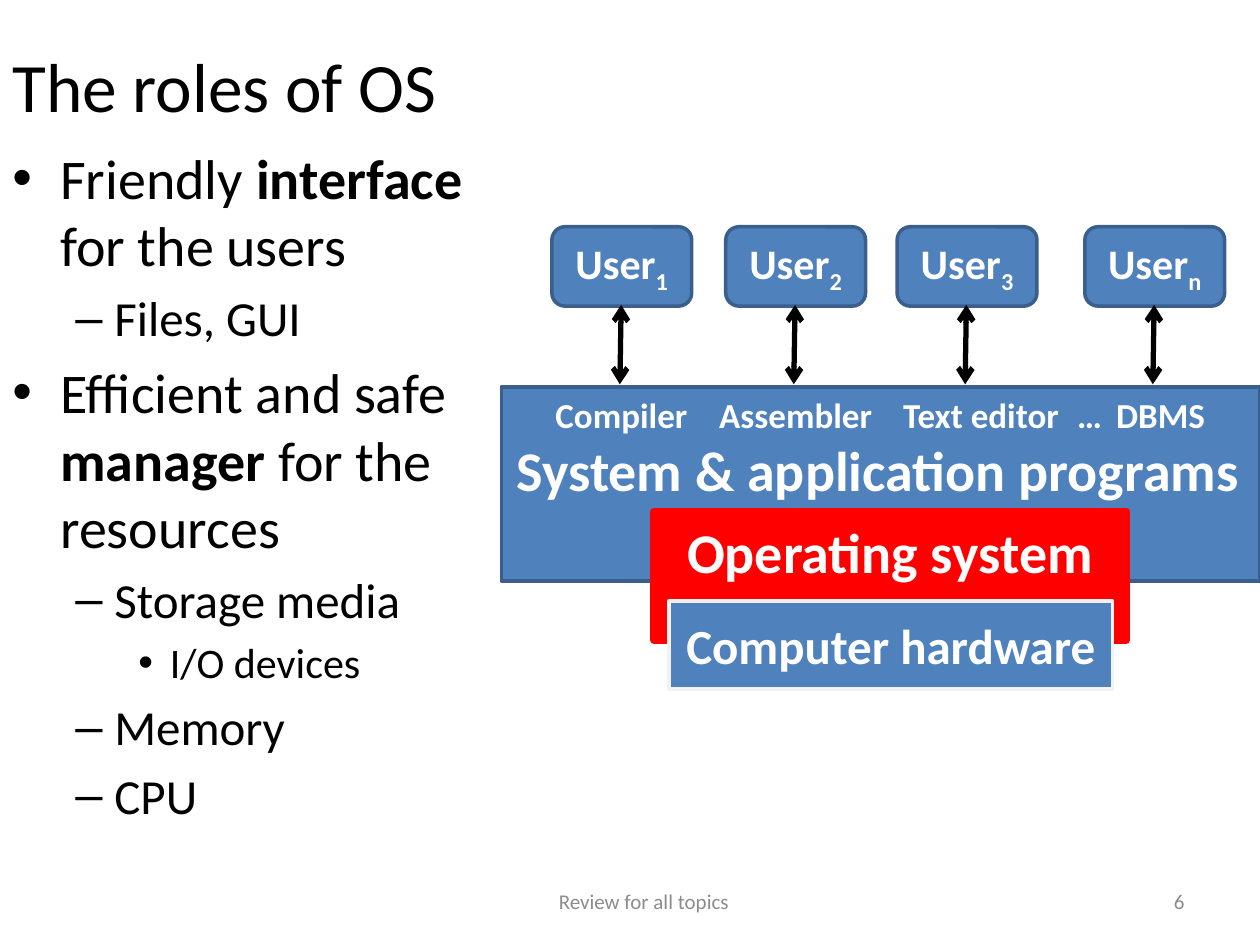
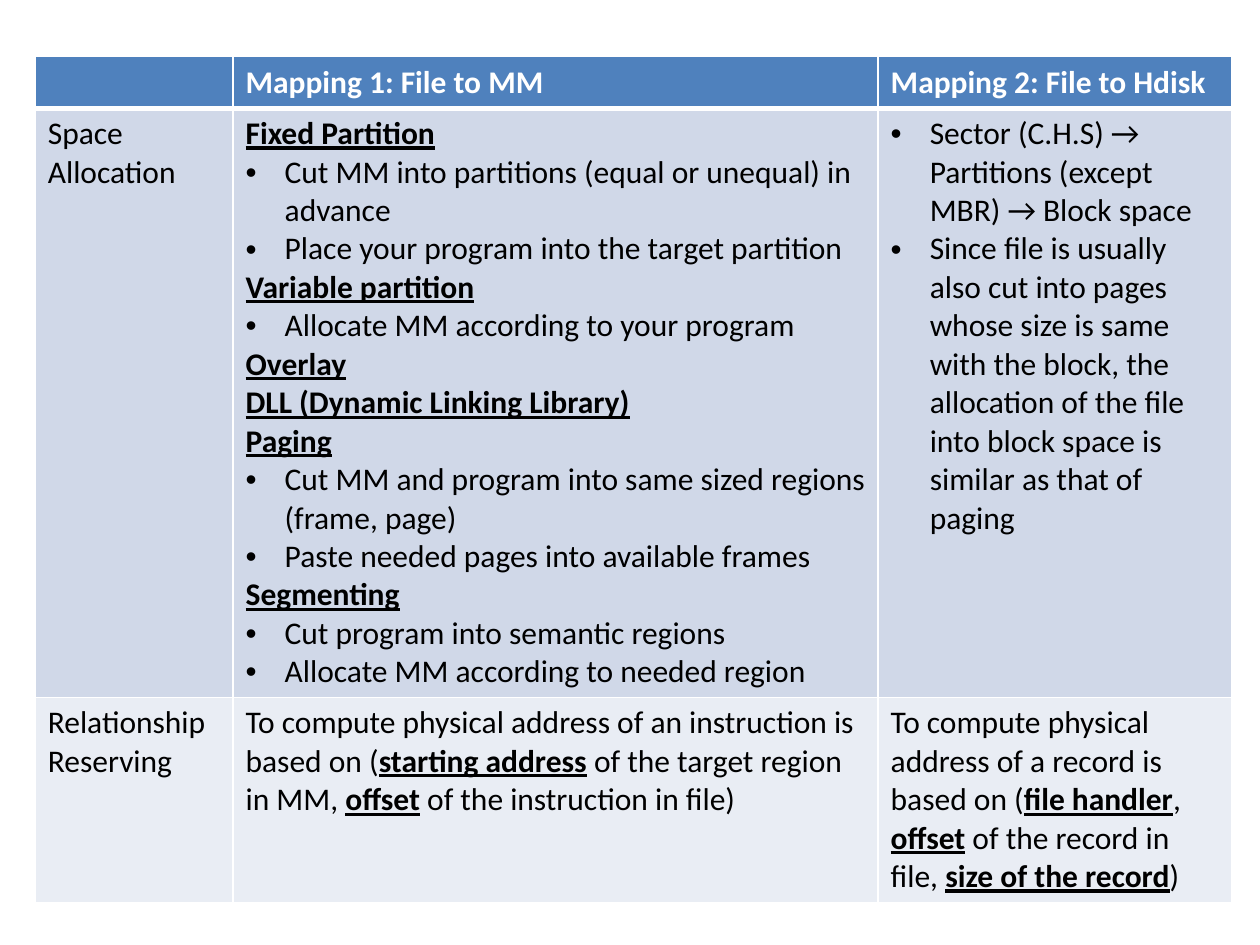
"""Build two review slides: the roles of an OS and a table of file mappings."""
from typing import NamedTuple

from lxml.etree import SubElement
from pptx import Presentation
from pptx.dml.color import RGBColor
from pptx.enum.shapes import MSO_CONNECTOR, MSO_SHAPE
from pptx.enum.text import MSO_ANCHOR, PP_ALIGN
from pptx.oxml.ns import qn
from pptx.slide import Slide
from pptx.table import _Cell
from pptx.text.text import TextFrame
from pptx.util import Inches, Pt

FONT = "Calibri"
COLORS = {
    "black": "000000", "white": "FFFFFF", "gray": "8C8C8C", "blue": "4F81BD",
    "edge": "3A5F8C", "red": "FF0000", "pale": "F2F2F2",
    "band": "D0D8E8", "light": "E9EDF4",
}
LEFT, MID, RIGHT = PP_ALIGN.LEFT, PP_ALIGN.CENTER, PP_ALIGN.RIGHT
TOP, CENTER = MSO_ANCHOR.TOP, MSO_ANCHOR.MIDDLE


class Level(NamedTuple):
    mark: str
    left: float
    hang: float
    size: float
    above: float = 0.2


class Para(NamedTuple):
    text: str
    level: Level | None = None


class Box(NamedTuple):
    text: str
    left: float
    top: float
    width: float
    height: float
    size: float
    fill: str = "blue"
    edge: str = "edge"
    weight: float = 2
    kind: MSO_SHAPE = MSO_SHAPE.RECTANGLE
    anchor: MSO_ANCHOR = CENTER


MAIN = Level("•", 0.38, 0.38, 32)
SUB = Level("–", 0.81, 0.31, 28)
DEEP = Level("•", 1.25, 0.25, 24)
ITEM = Level("•", 0.31, 0.31, 18, 0)

ROLES = [
    Para("Friendly *interface* for the users", MAIN),
    Para("Files, GUI", SUB),
    Para("Efficient and safe *manager* for the resources", MAIN),
    Para("Storage media", SUB),
    Para("I/O devices", DEEP),
    Para("Memory", SUB),
    Para("CPU", SUB),
]
TOOLS = ["Compiler", "Assembler", "Text editor", "…", "DBMS"]
STOPS = [0.33, 1.63, 3.09, 4.47, 4.78]
LAYERS = [
    Box("", 3.98, 3.07, 6.02, 1.54, 20, anchor=TOP),
    Box("Operating system", 5.19, 4.06, 3.75, 1.02, 32, "red", "red", 4.5, anchor=TOP),
    Box("Computer hardware", 5.31, 4.77, 3.52, 0.7, 28, edge="pale"),
]
USERS = {"1": 4.38, "2": 5.76, "3": 7.12, "n": 8.61}

COLS = [1.57, 5.12, 2.81]
ROWS = [0.41, 4.66, 1.62]
FILLS = ["blue", "band", "light"]
CELLS = [
    [[], [Para("Mapping 1: File to MM")], [Para("Mapping 2: File to Hdisk")]],
    [
        [Para("Space Allocation")],
        [
            Para("*Fixed Partition*"),
            Para("Cut MM into partitions (equal or unequal) in advance", ITEM),
            Para("Place your program into the target partition", ITEM),
            Para("*Variable partition*"),
            Para("Allocate MM according to your program", ITEM),
            Para("*Overlay*"),
            Para("*DLL (Dynamic Linking Library)*"),
            Para("*Paging*"),
            Para("Cut MM and program into same sized regions (frame, page)", ITEM),
            Para("Paste needed pages into available frames", ITEM),
            Para("*Segmenting*"),
            Para("Cut program into semantic regions", ITEM),
            Para("Allocate MM according to needed region", ITEM),
        ],
        [
            Para("Sector (C.H.S) → Partitions (except MBR) → Block space", ITEM),
            Para("Since file is usually also cut into pages whose size is same with "
                 "the block, the allocation of the file into block space is similar "
                 "as that of paging", ITEM),
        ],
    ],
    [
        [Para("Relationship Reserving")],
        [Para("To compute physical address of an instruction is based on "
              "(*starting address* of the target region in MM, *offset* of the "
              "instruction in file)")],
        [Para("To compute physical address of a record is based on (*file handler*, "
              "*offset* of the record in file, *size of the record*)")],
    ],
]


def tint(name: str) -> RGBColor:
    """Return the named colour."""
    return RGBColor.from_string(COLORS[name])


def write(frame: TextFrame, paras: list[Para], *, size: float = 18, color: str = "black",
          bold: bool = False, align: PP_ALIGN = LEFT, mark: str = "bold",
          stops: list[float] | None = None) -> None:
    """Fill a frame; parts between asterisks get the marked format."""
    for i, item in enumerate(paras):
        para = frame.paragraphs[0] if i == 0 else frame.add_paragraph()
        para.alignment = align
        points = item.level.size if item.level else size
        props = para._p.get_or_add_pPr()
        if item.level:
            level = item.level
            para.space_before = Pt(round(level.above * points, 1))
            props.set("marL", str(Inches(level.left)))
            props.set("indent", str(Inches(-level.hang)))
            SubElement(props, qn("a:buFont"), typeface="Arial")
            SubElement(props, qn("a:buChar"), char=level.mark)
        if stops:
            tabs = SubElement(props, qn("a:tabLst"))
            for stop in stops:
                SubElement(tabs, qn("a:tab"), pos=str(Inches(stop)), algn="l")
        for j, part in enumerate(item.text.split("*")):
            if not part:
                continue
            run = para.add_run()
            run.text = part
            font = run.font
            font.name, font.size = FONT, Pt(points)
            font.color.rgb = tint(color)
            marked = j % 2 == 1
            font.bold = bold or (marked and mark != "sub")
            if marked and mark == "under":
                font.underline = True
            if marked and mark == "sub":
                run._r.get_or_add_rPr().set("baseline", "-25000")


def label(slide: Slide, paras: list[Para], left: float, top: float, width: float,
          height: float, *, anchor: MSO_ANCHOR = TOP, wrap: bool = True,
          **style) -> None:
    """Add a text box."""
    area = (Inches(n) for n in (left, top, width, height))
    frame = slide.shapes.add_textbox(*area).text_frame
    frame.word_wrap = wrap
    frame.vertical_anchor = anchor
    write(frame, paras, **style)


def block(slide: Slide, box: Box) -> TextFrame:
    """Draw a filled box and return its frame."""
    area = (Inches(n) for n in (box.left, box.top, box.width, box.height))
    shape = slide.shapes.add_shape(box.kind, *area)
    shape.shadow.inherit = False
    shape.fill.solid()
    shape.fill.fore_color.rgb = tint(box.fill)
    shape.line.color.rgb = tint(box.edge)
    shape.line.width = Pt(box.weight)
    frame = shape.text_frame
    frame.word_wrap = True
    frame.vertical_anchor = box.anchor
    write(frame, [Para(box.text)], size=box.size, color="white", bold=True,
          align=MID, mark="sub")
    return frame


def arrow(slide: Slide, left: float, top: float, right: float, base: float) -> None:
    """Draw a line with a head at each end."""
    ends = (Inches(n) for n in (left, top, right, base))
    link = slide.shapes.add_connector(MSO_CONNECTOR.STRAIGHT, *ends)
    link.line.color.rgb = tint("black")
    link.line.width = Pt(3)
    line = link.line._get_or_add_ln()
    for end in ("a:headEnd", "a:tailEnd"):
        SubElement(line, qn(end), type="arrow")
    SubElement(link._element.spPr, qn("a:effectLst"))


def border(cell: _Cell, row: int) -> None:
    """Give a cell white edges, thick below the head row."""
    props = cell._tc.get_or_add_tcPr()
    widths = {"L": 1, "R": 1, "T": 3 if row == 1 else 1, "B": 3 if row == 0 else 1}
    for side, width in widths.items():
        line = SubElement(props, qn(f"a:ln{side}"), w=str(Pt(width)))
        fill = SubElement(line, qn("a:solidFill"))
        SubElement(fill, qn("a:srgbClr"), val=COLORS["white"])


def draw_roles(slide: Slide) -> None:
    """Draw the roles slide."""
    label(slide, [Para("The roles of OS")], 0, 0.31, 9, 0.72, size=39.6, anchor=CENTER)
    label(slide, ROLES, 0, 1.09, 3.98, 5.61)
    frames = [block(slide, box) for box in LAYERS]
    tools = "".join("\t" + tool for tool in TOOLS)
    write(frames[0], [Para(tools)], size=20, color="white", bold=True, stops=STOPS)
    label(slide, [Para("System & application programs")], 4, 3.41, 5.99, 0.64,
          size=32, color="white", bold=True, wrap=False)
    for name, left in USERS.items():
        block(slide, Box(f"User*{name}*", left, 1.8, 1.11, 0.63, 24,
                         kind=MSO_SHAPE.ROUNDED_RECTANGLE))
        arrow(slide, left + 0.55, 2.42, left + 0.54, 3.05)
    foot = {"size": 12, "color": "gray", "anchor": CENTER}
    label(slide, [Para("Review for all topics")], 3.42, 6.95, 3.38, 0.4, align=MID, **foot)
    label(slide, [Para("6")], 7.17, 6.95, 2.33, 0.4, align=RIGHT, **foot)


def draw_maps(slide: Slide) -> None:
    """Draw the table slide."""
    area = (Inches(n) for n in (0.28, 0.45, sum(COLS), sum(ROWS)))
    table = slide.shapes.add_table(len(ROWS), len(COLS), *area).table
    table.first_row = table.horz_banding = False
    for col, width in zip(table.columns, COLS):
        col.width = Inches(width)
    for i, (row, height) in enumerate(zip(table.rows, ROWS)):
        row.height = Inches(height)
        for cell, paras in zip(row.cells, CELLS[i]):
            border(cell, i)
            cell.fill.solid()
            cell.fill.fore_color.rgb = tint(FILLS[i])
            write(cell.text_frame, paras, color="black" if i else "white",
                  bold=i == 0, mark="under")


def main() -> None:
    """Build and save the deck."""
    deck = Presentation()
    deck.slide_width, deck.slide_height = Inches(10), Inches(7.5)
    for draw in (draw_roles, draw_maps):
        draw(deck.slides.add_slide(deck.slide_layouts[6]))
    deck.save("out.pptx")


if __name__ == "__main__":
    main()
